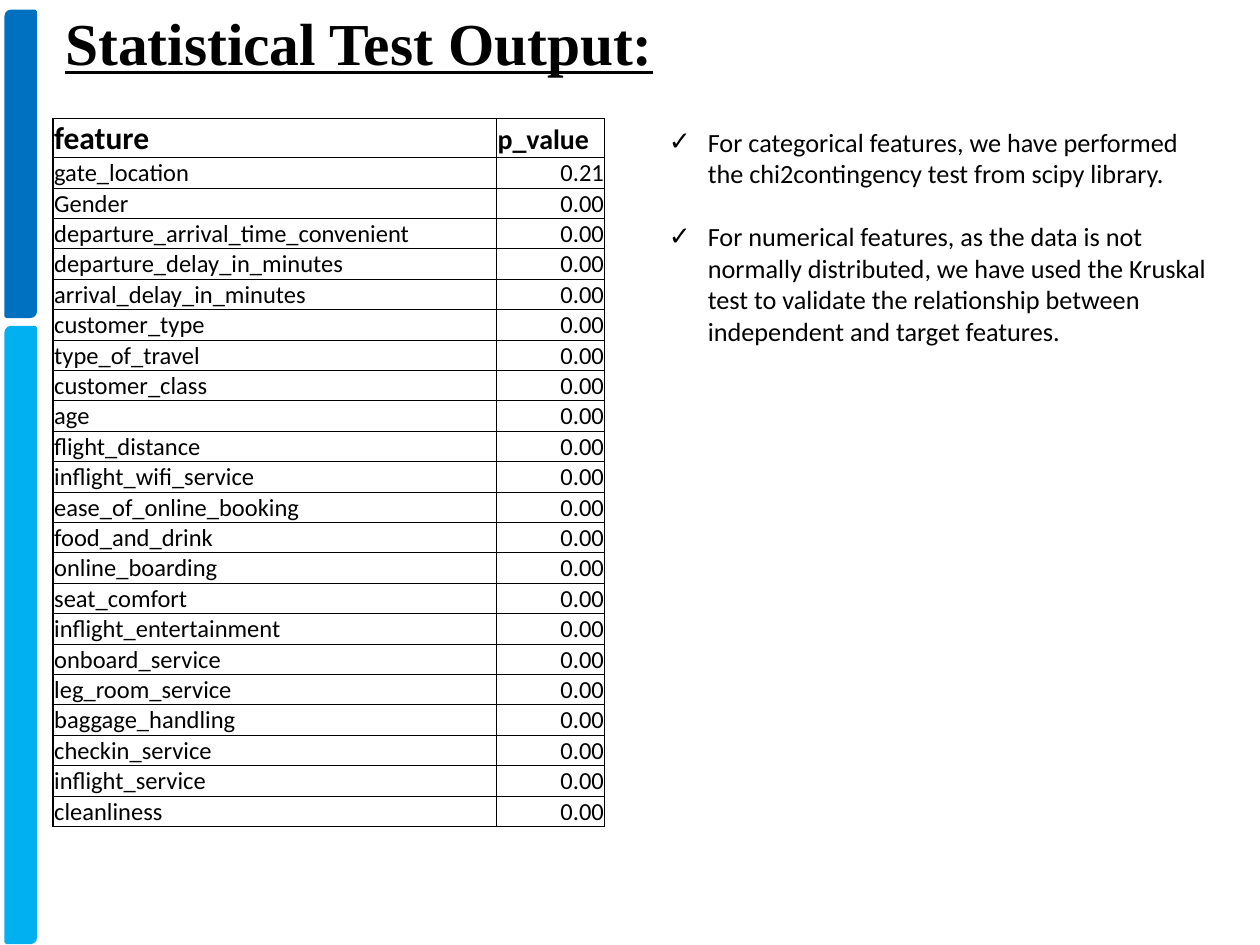
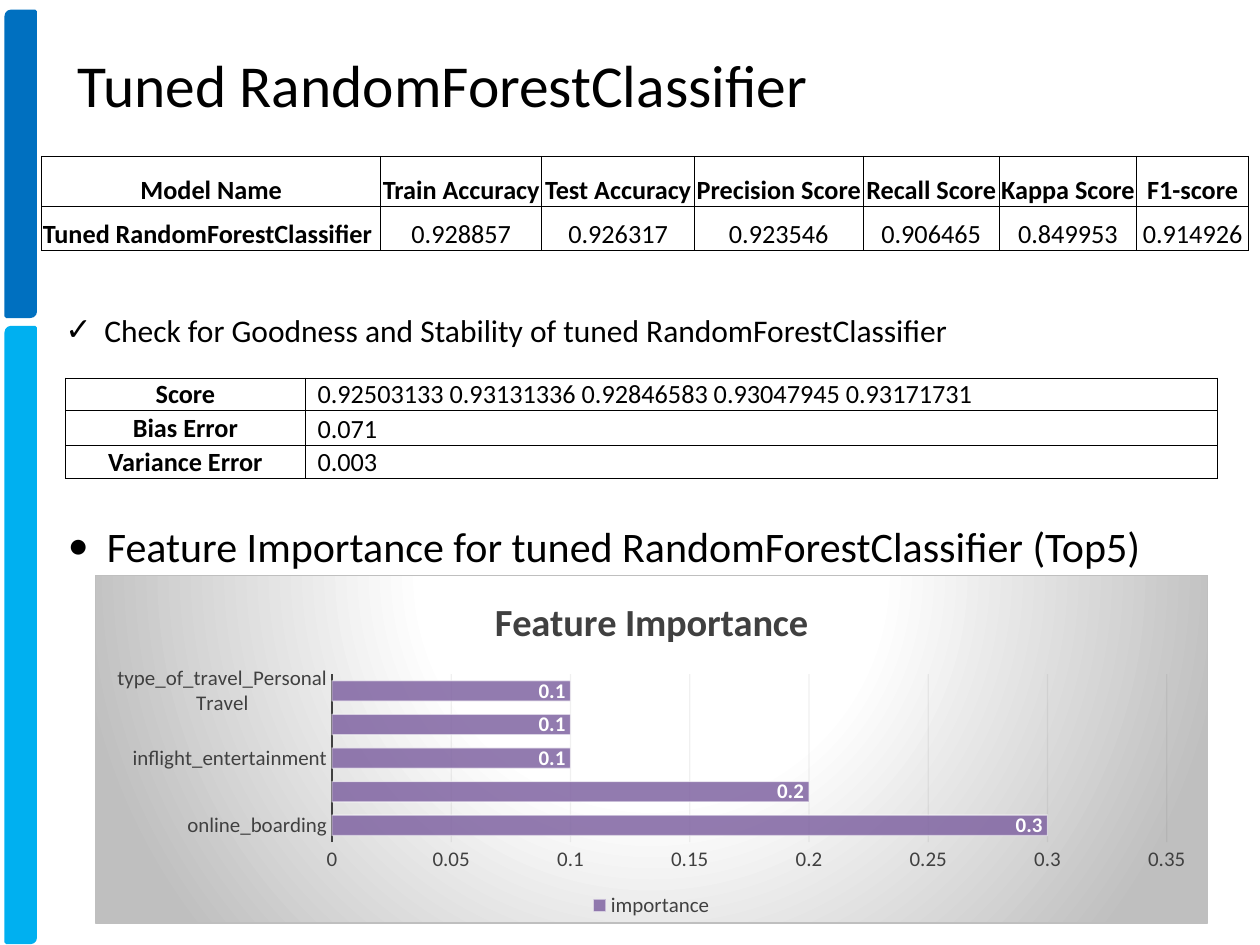
"""Build two slides: statistical test output and tuned classifier scores."""
from lxml.etree import SubElement
from pptx import Presentation
from pptx.chart.data import CategoryChartData
from pptx.dml.color import RGBColor
from pptx.enum.chart import XL_CHART_TYPE, XL_LABEL_POSITION, XL_LEGEND_POSITION, XL_TICK_MARK
from pptx.enum.shapes import MSO_SHAPE
from pptx.enum.text import MSO_ANCHOR, PP_ALIGN
from pptx.oxml import parse_xml
from pptx.oxml.ns import nsdecls, qn
from pptx.util import Inches, Pt

HUES = {"dark": "0070C0", "light": "00B0F0", "ink": "000000", "white": "FFFFFF",
        "gray": "404040", "grid": "0D0D0D", "edge": "BFBFBF", "bar": "8064A2"}
SANS, SERIF = "Calibri", "Times New Roman"
LEFT, MID, RIGHT = PP_ALIGN.LEFT, PP_ALIGN.CENTER, PP_ALIGN.RIGHT
BANDS = [("dark", 0.09, 2.42), ("light", 2.6, 4.88)]

TESTS = [("feature", "p_value"), ("gate_location", "0.21")] + [(name, "0.00") for name in (
    "Gender", "departure_arrival_time_convenient", "departure_delay_in_minutes",
    "arrival_delay_in_minutes", "customer_type", "type_of_travel", "customer_class",
    "age", "flight_distance", "inflight_wifi_service", "ease_of_online_booking",
    "food_and_drink", "online_boarding", "seat_comfort", "inflight_entertainment",
    "onboard_service", "leg_room_service", "baggage_handling", "checkin_service",
    "inflight_service", "cleanliness")]
NOTES = [
    "For categorical features, we have performed the chi2contingency test from scipy library.",
    "For numerical features, as the data is not normally distributed, we have used the "
    "Kruskal test to validate the relationship between independent and target features."]

MODEL = "Tuned RandomForestClassifier"
SCORES = [("Model Name", "Train Accuracy", "Test Accuracy", "Precision Score",
           "Recall Score", "Kappa Score", "F1-score"),
          (MODEL, "0.928857", "0.926317", "0.923546", "0.906465", "0.849953", "0.914926")]
CHECKS = [("Score", "0.92503133 0.93131336 0.92846583 0.93047945 0.93171731"),
          ("Bias Error", "0.071"), ("Variance Error", "0.003")]
GOOD = "Check for Goodness and Stability of tuned RandomForestClassifier"
TOP = "Feature Importance for tuned RandomForestClassifier (Top5)"
RANKS = [("online_boarding", 0.3), ("", 0.2), ("inflight_entertainment", 0.1),
         ("", 0.1), ("type_of_travel_Personal Travel", 0.1)]


def tint(hue):
    return RGBColor.from_string(HUES[hue])


def style(font, size, hue="ink", bold=False, face=SANS):
    font.size, font.name, font.bold = Pt(size), face, bold
    font.color.rgb = tint(hue)


def stroke(line, hue, width):
    line.color.rgb = tint(hue)
    line.width = Pt(width)


def write(slide, box, texts, size, mark=None, face=SANS, bold=False, under=None):
    frame = slide.shapes.add_textbox(*map(Inches, box)).text_frame
    frame.word_wrap = True
    for i, text in enumerate(texts):
        para = frame.add_paragraph() if i else frame.paragraphs[0]
        para.text = text
        style(para.font, size, bold=bold, face=face)
        para.font.underline = under
        if i:
            para.space_before = Pt(18)
        if mark:
            props = para._p.get_or_add_pPr()
            props.set("marL", str(Inches(0.31)))
            props.set("indent", str(-Inches(0.31)))
            dot = parse_xml(f'<a:buFont {nsdecls("a")} typeface="{SANS}"/>')
            props.insert_element_before(dot, "a:buChar", "a:tabLst", "a:defRPr")
            dot.addnext(parse_xml(f'<a:buChar {nsdecls("a")} char="{mark}"/>'))


def start(deck, title, box, **look):
    slide = deck.slides.add_slide(deck.slide_layouts[6])
    for hue, top, height in BANDS:
        band = slide.shapes.add_shape(MSO_SHAPE.ROUND_2_DIAG_RECTANGLE, Inches(0.05),
                                      Inches(top), Inches(0.23), Inches(height))
        band.shadow.inherit = False
        band.fill.solid()
        band.fill.fore_color.rgb = tint(hue)
        stroke(band.line, hue, 2)
    write(slide, box, [title], 34, **look)
    return slide


def edge(cell, widths):
    props = cell._tc.get_or_add_tcPr()
    for side, width in zip("LRTB", widths):
        line = SubElement(props, qn(f"a:ln{side}"), w=str(Pt(width)))
        SubElement(SubElement(line, qn("a:solidFill")), qn("a:srgbClr"), val=HUES["ink"])


def grid(slide, spot, cols, highs, rows, look, rims):
    """Add a table; look and rims give each cell's text style and border widths."""
    table = slide.shapes.add_table(len(rows), len(cols), *map(Inches, spot),
                                   Inches(sum(cols)), Inches(sum(highs))).table
    table.first_row = table.horz_banding = False
    for col, width in zip(table.columns, cols):
        col.width = Inches(width)
    for r, row in enumerate(rows):
        table.rows[r].height = Inches(highs[r])
        for c, text in enumerate(row):
            cell = table.cell(r, c)
            size, bold, align, anchor, pad = look(r, c)
            cell.margin_left, cell.margin_right = Inches(pad), Pt(0.5)
            cell.margin_top, cell.margin_bottom = Pt(0.5), 0
            cell.vertical_anchor = anchor
            para = cell.text_frame.paragraphs[0]
            para.text, para.alignment = text, align
            style(para.font, size, bold=bold)
            edge(cell, rims(r, c))
            cell.fill.background()


def test_look(r, c):
    size = 14 if r else (18, 16)[c]
    return size, r == 0, RIGHT if r and c else LEFT, MSO_ANCHOR.BOTTOM, 0.01


def test_rims(r, c):
    last = len(TESTS) - 1
    return [1 if thick else 0.5 for thick in (c == 0, c == 1, r < 2, r in (0, last))]


def score_look(r, c):
    return 15, r == 0 or c == 0, LEFT if r and not c else MID, MSO_ANCHOR.BOTTOM, 0.01


def check_look(r, c):
    if c:
        return 15, False, LEFT, MSO_ANCHOR.BOTTOM, 0.1
    return 15, True, MID, MSO_ANCHOR.MIDDLE, 0.01


def thin(r, c):
    return [0.5] * 4


def fade(root, route, share):
    for color in root.xpath(route):
        SubElement(color, qn("a:alpha"), val=str(share * 1000))


def backdrop(chart):
    stops = "".join(f'<a:gs pos="{pos * 1000}"><a:srgbClr val="{HUES[hue]}"/></a:gs>'
                    for pos, hue in ((0, "white"), (39, "white"), (100, "edge")))
    props = parse_xml(
        f'<c:spPr {nsdecls("c", "a")}><a:gradFill><a:gsLst>{stops}</a:gsLst>'
        '<a:path path="circle"><a:fillToRect l="50000" t="-80000" r="50000" b="180000"/>'
        f'</a:path></a:gradFill><a:ln w="{Pt(0.75)}"><a:solidFill>'
        f'<a:srgbClr val="{HUES["edge"]}"/></a:solidFill></a:ln></c:spPr>')
    chart.element.find(qn("c:chart")).addnext(props)


def plot(slide, box):
    data = CategoryChartData()
    names, shares = zip(*RANKS)
    data.categories = names
    data.add_series("importance", shares)
    chart = slide.shapes.add_chart(XL_CHART_TYPE.BAR_CLUSTERED, *map(Inches, box), data).chart
    style(chart.font, 10)
    chart.has_title = True
    head = chart.chart_title.text_frame.paragraphs[0]
    head.text = "Feature Importance"
    style(head.font, 22, "gray", True)
    chart.has_legend = True
    chart.legend.position = XL_LEGEND_POSITION.BOTTOM
    chart.legend.include_in_layout = False
    style(chart.legend.font, 12, "gray")

    cats, vals = chart.category_axis, chart.value_axis
    for axis in (cats, vals):
        axis.major_tick_mark = axis.minor_tick_mark = XL_TICK_MARK.NONE
        style(axis.tick_labels.font, 12, "gray")
    stroke(cats.format.line, "gray", 1.5)
    vals.format.line.fill.background()
    vals.minimum_scale, vals.maximum_scale, vals.major_unit = 0, 0.35, 0.05
    stroke(vals.major_gridlines.format.line, "grid", 0.75)

    bars = chart.plots[0]
    bars.gap_width, bars.vary_by_categories = 65, False
    series = bars.series[0]
    series.format.fill.solid()
    series.format.fill.fore_color.rgb = tint("bar")
    stroke(series.format.line, "white", 0.75)
    labels = series.data_labels
    labels.show_value = True
    labels.position = XL_LABEL_POSITION.INSIDE_END
    style(labels.font, 12, "white", True)

    fade(chart.element, ".//c:majorGridlines//a:srgbClr", 5)
    fade(chart.element, ".//c:ser/c:spPr/a:solidFill/a:srgbClr", 85)
    fade(chart.element, ".//c:ser/c:spPr/a:ln//a:srgbClr", 50)
    backdrop(chart)


def main():
    deck = Presentation()
    deck.slide_width, deck.slide_height = Inches(10), Inches(7.5)

    slide = start(deck, "Statistical Test Output:", (0.42, 0, 9.17, 0.67),
                  face=SERIF, bold=True, under=True)
    count = len(TESTS) - 1
    highs = [0.31] + [5.31 / count] * count
    grid(slide, (0.42, 0.94), [3.52, 0.86], highs, TESTS, test_look, test_rims)
    write(slide, (5.21, 0.95, 4.5, 1.87), NOTES, 15, "✓")

    slide = start(deck, MODEL, (0.52, 0.33, 8.95, 0.67))
    grid(slide, (0.33, 1.24), [2.69, 1.28, 1.21, 1.34, 1.08, 1.09, 0.89], [0.4, 0.35],
         SCORES, score_look, thin)
    grid(slide, (0.52, 3), [1.9, 7.24], [0.25, 0.28, 0.26], CHECKS, check_look, thin)
    write(slide, (0.42, 2.42, 9.5, 0.42), [GOOD], 18, "✓")
    write(slide, (0.44, 4.08, 9.14, 0.5), [TOP], 24, "•")
    plot(slide, (0.75, 4.56, 8.84, 2.77))

    deck.save("out.pptx")


if __name__ == "__main__":
    main()
